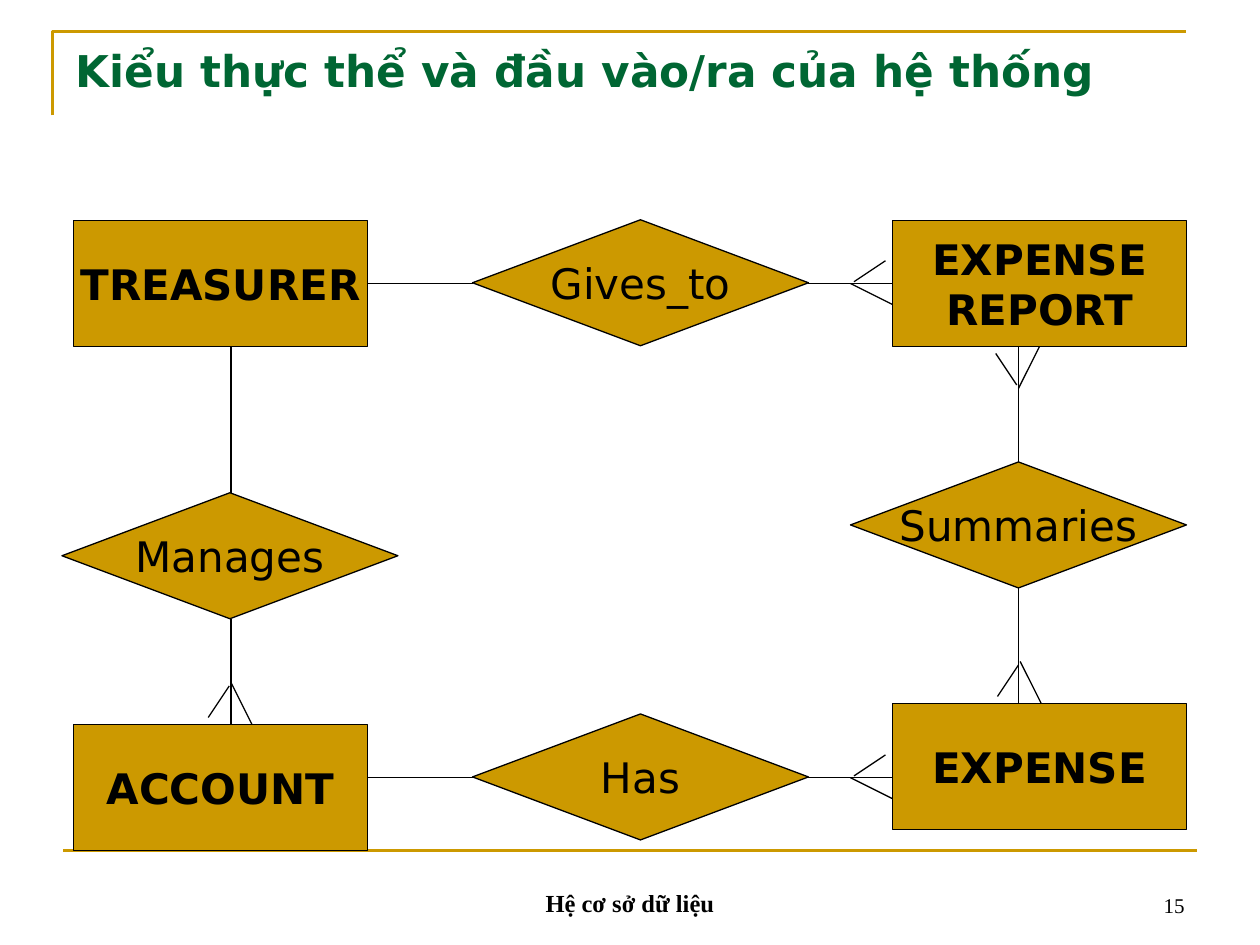
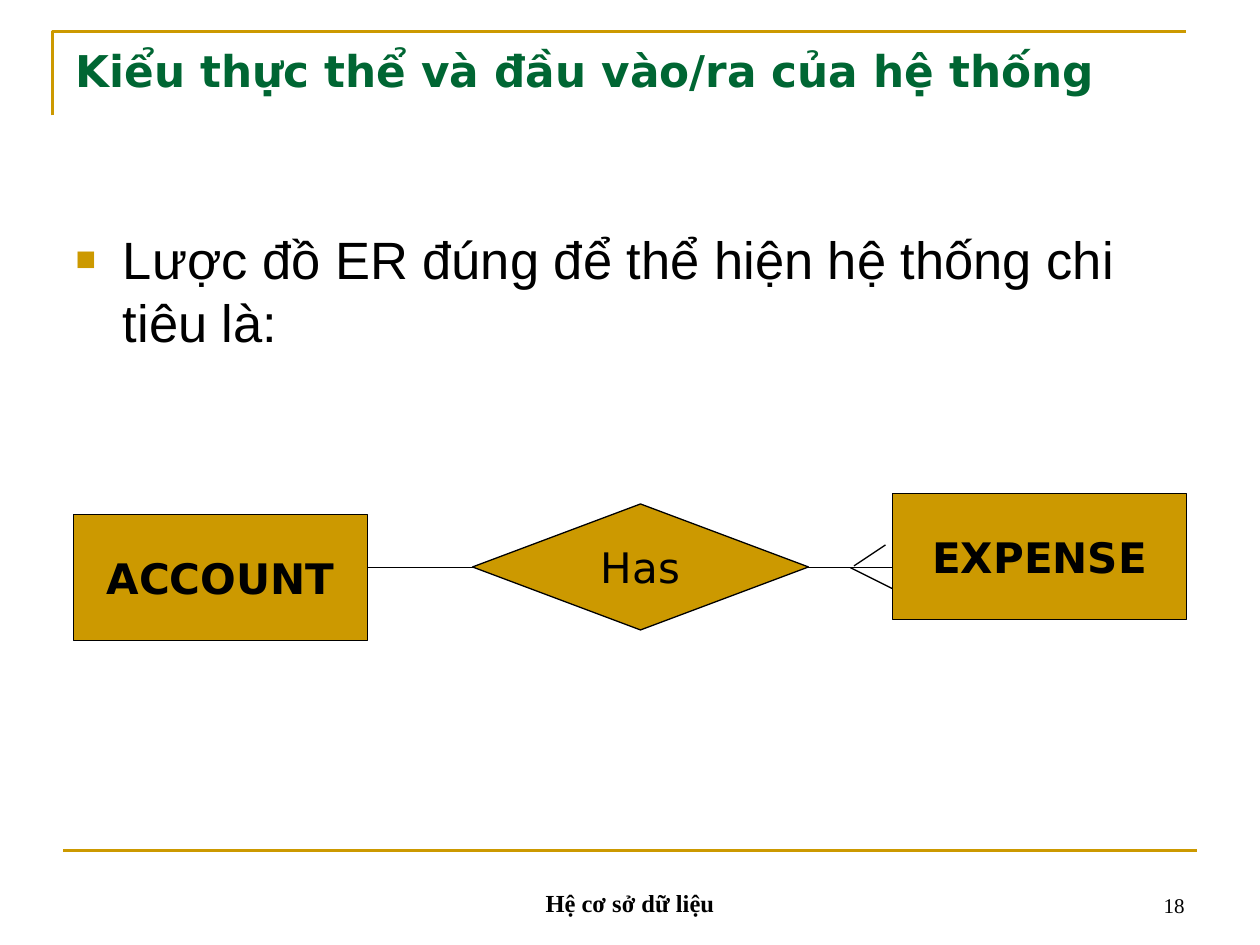
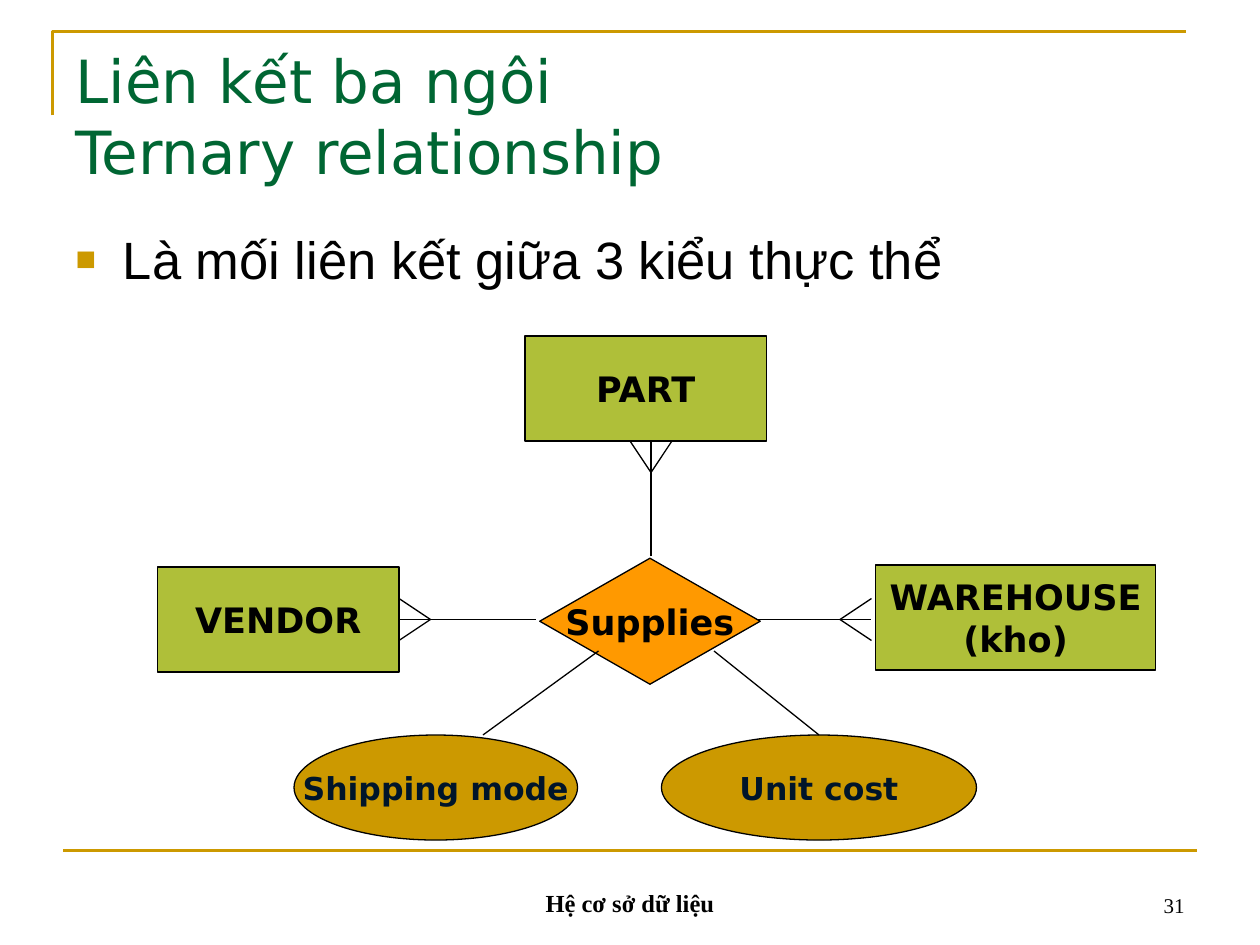
from lxml import etree
from pptx import Presentation
from pptx import util as u
from pptx.dml.color import RGBColor
from pptx.enum import shapes, text
from pptx.oxml import ns

GOLD = RGBColor(0xCC, 0x99, 0x00)
GREEN = RGBColor(0x00, 0x66, 0x33)
LIME = RGBColor(0xAF, 0xBF, 0x39)
AMBER = RGBColor(0xFF, 0x99, 0x00)
NAVY = RGBColor(0x00, 0x15, 0x2A)
BLACK = RGBColor(0, 0, 0)

SANS, BODY, SERIF = "DejaVu Sans", "Arial", "Times New Roman"
RECT = shapes.MSO_SHAPE.RECTANGLE
DIAMOND = shapes.MSO_SHAPE.DIAMOND
OVAL = shapes.MSO_SHAPE.OVAL
ALIGN, ANCHOR = text.PP_ALIGN, text.MSO_ANCHOR

RIGHT, LEFT, DOWN, UP = (1, 0), (-1, 0), (0, 1), (0, -1)
LOOSE = [((2, -1), (20, -13)), ((0, 0), (24, 12))]
EVEN = [((0, 0), (18, -12)), ((0, 0), (18, 12))]


class Deck:
    def __init__(self):
        self.prs = Presentation()
        self.prs.slide_width = u.Pt(720)
        self.prs.slide_height = u.Pt(540)
        self.slide = None

    def start(self, title, page, size=25, bold=True, point=None):
        layout = self.prs.slide_layouts[1 if point else 5]
        self.slide = self.prs.slides.add_slide(layout)
        self.frame()
        self.label("Hệ cơ sở dữ liệu", 246, 228, ALIGN.CENTER, 14, True)
        self.label(str(page), 516, 168, ALIGN.RIGHT, 12, False)
        para = self.holder(0, 21.6, 90)
        for i, line in enumerate(title.split("\n")):
            if i:
                para.add_line_break()
            self.run(para, line, SANS, size, GREEN, bold)
        if point:
            self.point(point)

    def frame(self):
        pen = self.slide.shapes.build_freeform(u.Pt(30), u.Pt(66))
        pen.add_line_segments([(u.Pt(30), u.Pt(18)), (u.Pt(678), u.Pt(18))], close=False)
        edge = pen.convert_to_shape()
        edge.shadow.inherit = False
        edge.fill.background()
        self.stroke(edge.line, GOLD, 1.5)
        self.line(36, 486, 684, 486, GOLD, 1.5)

    def stroke(self, line, color, width):
        line.color.rgb = color
        line.width = u.Pt(width)

    def run(self, para, words, font, size, color=BLACK, bold=False):
        run = para.add_run()
        run.text = words
        run.font.name = font
        run.font.size = u.Pt(size)
        run.font.bold = bold
        run.font.color.rgb = color

    def holder(self, index, top, height):
        box = self.slide.placeholders[index]
        box.left, box.top = u.Pt(36), u.Pt(top)
        box.width, box.height = u.Pt(648), u.Pt(height)
        frame = box.text_frame
        frame.auto_size = text.MSO_AUTO_SIZE.NONE
        frame.word_wrap = True
        frame.vertical_anchor = ANCHOR.TOP
        para = frame.paragraphs[0]
        para.alignment = ALIGN.LEFT
        para.space_before = u.Pt(0)
        return para

    def point(self, words):
        para = self.holder(1, 126, 356.4)
        props = para._p.get_or_add_pPr()
        props.set("marL", str(u.Pt(27)))
        props.set("indent", str(u.Pt(-27)))
        tint = etree.SubElement(props, ns.qn("a:buClr"))
        etree.SubElement(tint, ns.qn("a:srgbClr"), val=str(GOLD))
        etree.SubElement(props, ns.qn("a:buSzPct"), val="65000")
        etree.SubElement(props, ns.qn("a:buFont"), typeface=BODY)
        etree.SubElement(props, ns.qn("a:buChar"), char="■")
        self.run(para, words, BODY, 30)

    def label(self, words, left, width, align, size, bold):
        box = self.slide.shapes.add_textbox(u.Pt(left), u.Pt(492), u.Pt(width), u.Pt(36))
        frame = box.text_frame
        frame.word_wrap = True
        frame.vertical_anchor = ANCHOR.BOTTOM
        para = frame.paragraphs[0]
        para.alignment = align
        self.run(para, words, SERIF, size, bold=bold)

    def node(self, kind, words, left, top, width, height, fill=GOLD,
             size=24, color=BLACK, bold=True):
        node = self.slide.shapes.add_shape(
            kind, u.Pt(left), u.Pt(top), u.Pt(width), u.Pt(height))
        node.shadow.inherit = False
        node.fill.solid()
        node.fill.fore_color.rgb = fill
        self.stroke(node.line, BLACK, 0.75)
        frame = node.text_frame
        frame.word_wrap = False
        frame.vertical_anchor = ANCHOR.MIDDLE
        for i, line in enumerate(words.split("\n")):
            para = frame.add_paragraph() if i else frame.paragraphs[0]
            para.alignment = ALIGN.CENTER
            self.run(para, line, SANS, size, color, bold)

    def thing(self, words, left, top):
        self.node(RECT, words, left, top, 168, 72)

    def link(self, words, left, top):
        self.node(DIAMOND, words, left, top, 192, 72, bold=False)

    def line(self, x1, y1, x2, y2, color=BLACK, width=0.75):
        line = self.slide.shapes.add_connector(
            shapes.MSO_CONNECTOR.STRAIGHT, u.Pt(x1), u.Pt(y1), u.Pt(x2), u.Pt(y2))
        self.stroke(line.line, color, width)
        etree.SubElement(line._element.spPr, ns.qn("a:effectLst"))

    def foot(self, x, y, way, legs=LOOSE):
        dx, dy = way
        for leg in legs:
            ends = [(x + far * dx + side * abs(dy), y + far * dy + side * abs(dx))
                    for far, side in leg]
            self.line(*ends[0], *ends[1])

    def row(self, words, top, axis):
        self.link(words, 270, top)
        self.line(210, axis, 270, axis)
        self.line(462, axis, 510, axis)
        self.foot(486, axis, RIGHT)

    def has(self, top):
        self.thing("ACCOUNT", 42, top + 6)
        self.thing("EXPENSE", 510, top - 6)
        self.row("Has", top, top + 36.4)


def system(deck, title):
    deck.start(title, 15)
    deck.thing("TREASURER", 42, 126)
    deck.thing("EXPENSE\nREPORT", 510, 126)
    deck.row("Gives_to", 125.6, 162)
    deck.has(408)
    deck.link("Manages", 35.4, 281.6)
    deck.link("Summaries", 486, 264)
    for x, y1, y2 in [(132, 198, 282), (132, 354, 414), (582, 198, 264), (582, 336, 402)]:
        deck.line(x, y1, x, y2)
    deck.foot(132, 390, DOWN)
    deck.foot(583, 378, DOWN)
    deck.foot(582, 222, UP)


def ternary(deck):
    deck.start("Liên kết ba ngôi\nTernary relationship", 31, 34, False,
               "Là mối liên kết giữa 3 kiểu thực thể")
    for words, left, top, width in [("PART", 300, 192, 138), ("VENDOR", 90, 324, 138),
                                    ("WAREHOUSE\n(kho)", 500.4, 322.8, 160)]:
        deck.node(RECT, words, left, top, width, 60, LIME, 20)
    deck.node(DIAMOND, "Supplies", 308.4, 319, 126, 72, AMBER, 20)
    for words, left, width in [("Shipping mode", 168, 162), ("Unit cost", 378, 180)]:
        deck.node(OVAL, words, left, 420, width, 60, size=18, color=NAVY)
    for ends in [(372, 318, 372, 252), (306, 354, 228, 354), (432, 354, 498, 354),
                 (342, 372, 276, 420), (408, 372, 468, 420)]:
        deck.line(*ends)
    for x, y, way in [(246, 354, LEFT), (480, 354, RIGHT), (372, 270, UP)]:
        deck.foot(x, y, way, EVEN)


def main():
    deck = Deck()
    title = "Kiểu thực thể và đầu vào/ra của hệ thống"
    system(deck, title)
    deck.start(title, 18, point="Lược đồ ER đúng để thể hiện hệ thống chi tiêu là:")
    deck.has(288)
    ternary(deck)
    deck.prs.save("out.pptx")


if __name__ == "__main__":
    main()
